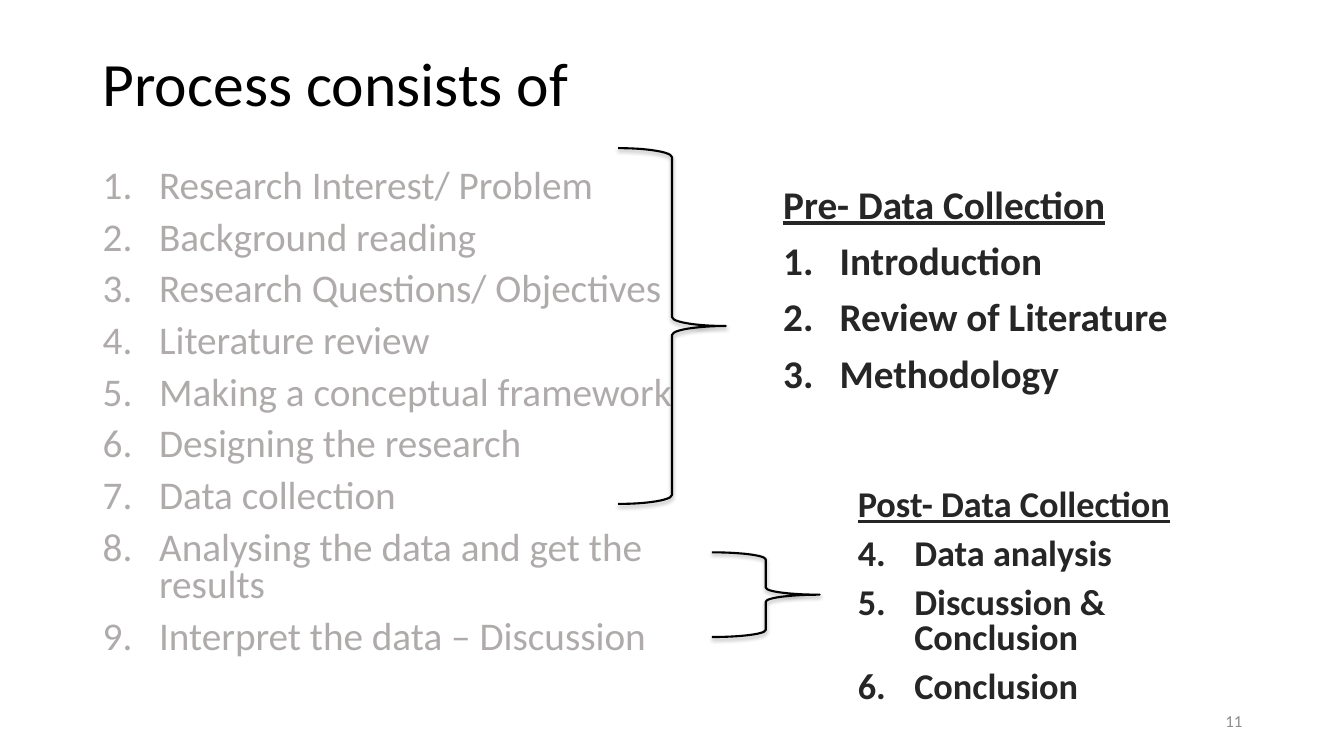
import pptx
import pptx.dml.color
import pptx.enum.shapes
import pptx.enum.text
import pptx.oxml
import pptx.oxml.ns
import pptx.util

BLACK = pptx.dml.color.RGBColor(0x00, 0x00, 0x00)
CHARCOAL = pptx.dml.color.RGBColor(0x26, 0x26, 0x26)
PALE_GREY = pptx.dml.color.RGBColor(0xAF, 0xAB, 0xAB)
NUMBER_GREY = pptx.dml.color.RGBColor(0x8C, 0x8C, 0x8C)

EMU_PER_PX = 9144  # 100 px to the inch
INDENT = 56
BRACE_SHADOW = (
    f'<a:outerShdw {pptx.oxml.ns.nsdecls("a")} blurRad="39370" dist="22860" dir="5400000" '
    'rotWithShape="0"><a:srgbClr val="000000"><a:alpha val="35000"/></a:srgbClr></a:outerShdw>'
)


def px(length):
    return pptx.util.Emu(length * EMU_PER_PX)


class SlideBuilder:
    font = "Calibri"

    def __init__(self, deck):
        self.slide = deck.slides.add_slide(deck.slide_layouts[6])

    def frame(self, left, top, width, height, middle=False):
        box = self.slide.shapes.add_textbox(px(left), px(top), px(width), px(height))
        frame = box.text_frame
        frame.word_wrap = True
        anchor = pptx.enum.text.MSO_ANCHOR
        frame.vertical_anchor = anchor.MIDDLE if middle else anchor.TOP
        return frame

    def add_span(self, para, text, size, color, bold=False, underline=False):
        span = para.add_run()
        span.text = text
        span.font.name = self.font
        span.font.size = pptx.util.Pt(size)
        span.font.color.rgb = color
        span.font.bold = bold
        span.font.underline = underline

    def line(self, bounds, text, size, color, spacing=1.0, align=None):
        para = self.frame(*bounds, middle=True).paragraphs[0]
        para.line_spacing = spacing
        para.alignment = align
        self.add_span(para, text, size, color)

    def numbered_list(self, bounds, items, size, color, spacing,
                      heading=None, start=1, bold=False):
        frame = self.frame(*bounds)
        lines = ([heading] if heading else []) + items
        for index, text in enumerate(lines):
            para = frame.paragraphs[0] if index == 0 else frame.add_paragraph()
            para.line_spacing = spacing
            para.space_before = pptx.util.Pt(10)
            is_heading = text == heading
            if not is_heading:
                self.number(para, start)
            self.add_span(para, text, size, color, bold, is_heading)

    def number(self, para, start):
        properties = para._p.get_or_add_pPr()
        properties.set("marL", str(px(INDENT)))
        properties.set("indent", str(px(-INDENT)))
        properties.append(pptx.oxml.parse_xml(
            f'<a:buAutoNum {pptx.oxml.ns.nsdecls("a")} type="arabicPeriod" startAt="{start}"/>'))

    def brace(self, left, top, width, height):
        brace = self.slide.shapes.add_shape(
            pptx.enum.shapes.MSO_SHAPE.RIGHT_BRACE, px(left), px(top), px(width), px(height))
        brace.fill.background()
        brace.line.color.rgb = BLACK
        brace.line.width = pptx.util.Pt(1.5)
        brace.shadow.inherit = False
        effects = brace._element.spPr.find(pptx.oxml.ns.qn("a:effectLst"))
        effects.append(pptx.oxml.parse_xml(BRACE_SHADOW))


def main():
    deck = pptx.Presentation()
    deck.slide_width, deck.slide_height = px(1333), px(750)
    page = SlideBuilder(deck)

    # Title
    page.line((92, 40, 1150, 92), "Process consists of", 44, BLACK, spacing=0.9)

    # Research steps
    steps = [
        "Research Interest/ Problem",
        "Background reading",
        "Research Questions/ Objectives",
        "Literature review",
        "Making a conceptual framework",
        "Designing the research",
        "Data collection",
        "Analysing the data and get the results",
        "Interpret the data – Discussion",
    ]
    page.numbered_list((92, 163, 645, 512), steps, 28, PALE_GREY, 0.8)

    # Slide number
    page.line((942, 695, 300, 40), "11", 12, NUMBER_GREY,
              align=pptx.enum.text.PP_ALIGN.RIGHT)

    # Chapters before data collection
    page.brace(613, 147, 107, 353)
    page.numbered_list((767, 179, 427, 234),
                       ["Introduction", "Review of Literature", "Methodology"],
                       28, CHARCOAL, 0.9, heading="Pre- Data Collection", bold=True)

    # Chapters after data collection
    page.brace(706, 548, 107, 84)
    page.numbered_list((841, 481, 427, 234),
                       ["Data analysis", "Discussion & Conclusion", "Conclusion"],
                       25.9, CHARCOAL, 0.8, heading="Post- Data Collection",
                       start=4, bold=True)

    deck.save("out.pptx")


if __name__ == "__main__":
    main()
